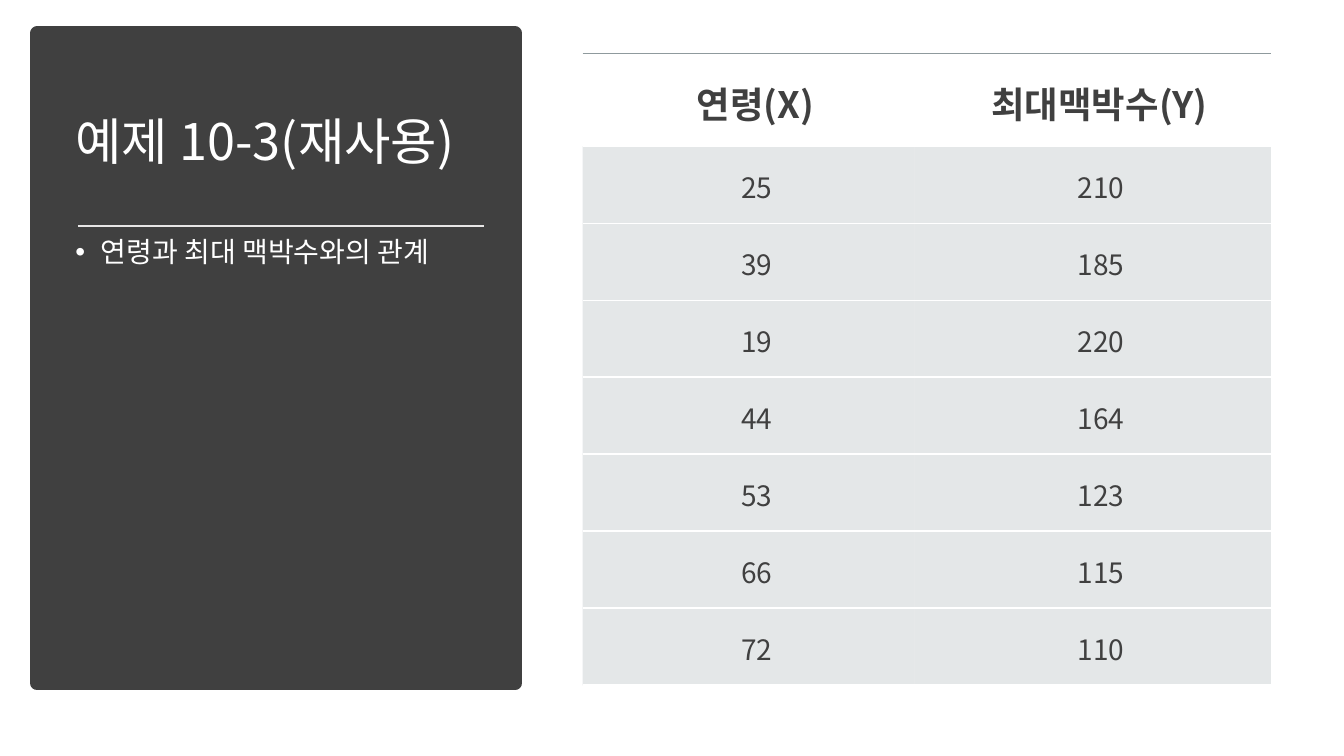
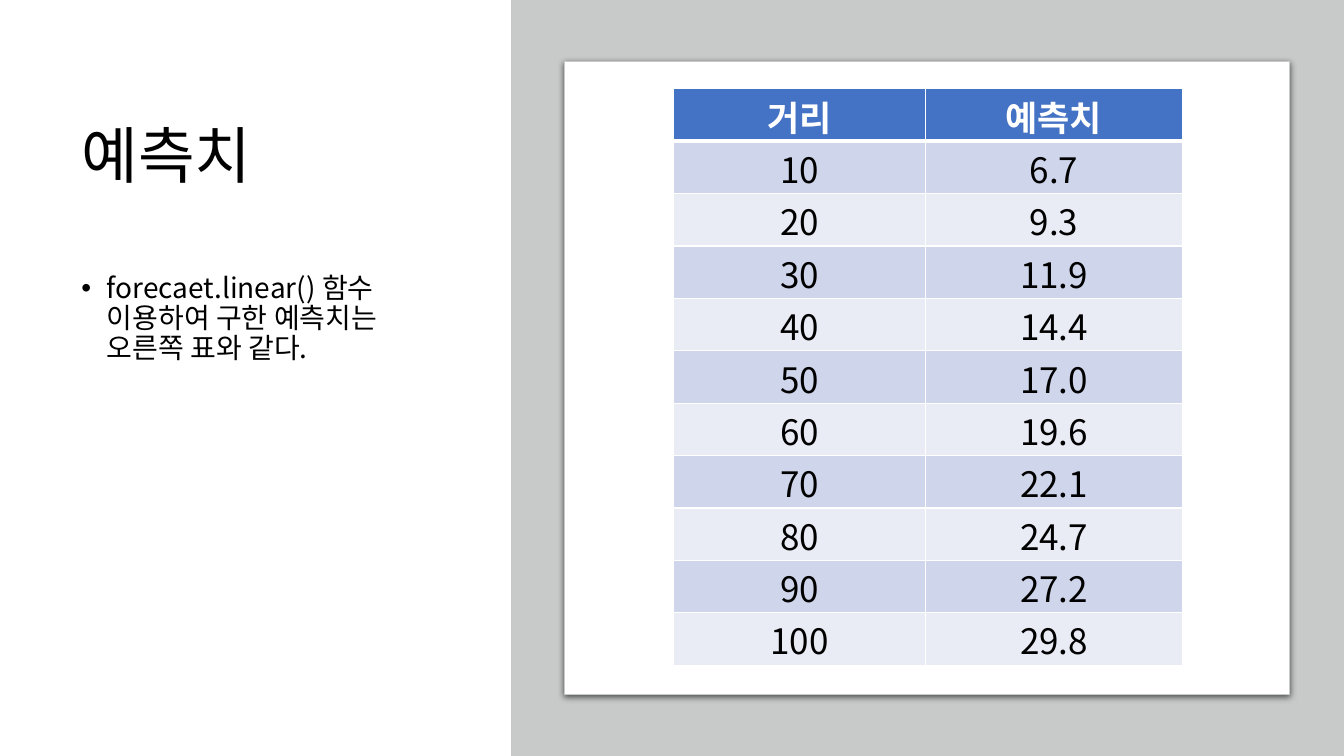
from pptx import Presentation
from pptx.dml.color import RGBColor
from pptx.enum.shapes import MSO_CONNECTOR as Connector, MSO_SHAPE as Preset
from pptx.enum.text import MSO_ANCHOR as Anchor, MSO_AUTO_SIZE as AutoSize, PP_ALIGN as Align
from pptx.oxml.ns import qn
from pptx.util import Cm, Pt
from lxml.etree import SubElement

FONT = "Noto Sans CJK KR"
WHITE, BLACK, CHARCOAL = "FFFFFF", "000000", "404040"
RULE, BAND = "E7E6E6", "C8CACA"
LINE_SPACING = 0.9

HEART_ROWS = [
    ("연령(X)", "최대맥박수(Y)"),
    ("25", "210"), ("39", "185"), ("19", "220"), ("44", "164"),
    ("53", "123"), ("66", "115"), ("72", "110"),
]
HEART_STYLE = {
    "columns": (8.36, 8.99), "heights": (2.34, 1.94),
    "sizes": (26, 20), "colors": (CHARCOAL, CHARCOAL),
    "margins": ((0.91, 0.56, 0.56, 0.56), (0.91, 0.48, 0.48, 0.48)),
    "header_fill": None, "body_fills": ("B4BCBE",), "alpha": 35,
    "grid": {"T": (WHITE, 1.5), "B": (WHITE, 1.5)},
    "header_edges": {"T": ("8F9A9D", 1.5, 60)},
}

FORECAST_ROWS = [
    ("거리", "예측치"),
    ("10", "6.7"), ("20", "9.3"), ("30", "11.9"), ("40", "14.4"), ("50", "17.0"),
    ("60", "19.6"), ("70", "22.1"), ("80", "24.7"), ("90", "27.2"), ("100", "29.8"),
]
FORECAST_STYLE = {
    "columns": (6.35, 6.48), "heights": (1.32, 1.32),
    "sizes": (25, 25), "colors": (WHITE, BLACK),
    "margins": ((0.04, 0.04, 0.04, 0),) * 2,
    "header_fill": "4472C4", "body_fills": ("CFD5EA", "E9EBF5"), "alpha": 100,
    "grid": {side: (WHITE, 1) for side in "LRTB"},
    "header_edges": {"B": (WHITE, 3)},
}


def rgb(color):
    return RGBColor.from_string(color)


def set_all(target, **values):
    for name, value in values.items():
        setattr(target, name, value)


def add_color(parent, color, alpha=100):
    node = SubElement(parent, qn("a:srgbClr"), val=color)
    if alpha < 100:
        SubElement(node, qn("a:alpha"), val=str(alpha * 1000))


def write(para, text, size, color, bold=False):
    span = para.add_run()
    span.text = text
    set_all(span.font, name=FONT, size=Pt(size), bold=bold)
    span.font.color.rgb = rgb(color)
    SubElement(span.font._element, qn("a:ea"), typeface=FONT)


def add_rectangle(page, box, fill, line=None, width=0):
    shape = page.shapes.add_shape(Preset.RECTANGLE, *map(Cm, box))
    shape.shadow.inherit = False
    shape.fill.solid()
    shape.fill.fore_color.rgb = rgb(fill)
    if line:
        shape.line.color.rgb = rgb(line)
        shape.line.width = Pt(width)
    else:
        shape.line.fill.background()
    return shape


def add_text_column(page, box, title, body, title_size, color, title_height, gap):
    """Title at the top of the box, one bullet in the rest."""
    left, top, width, height = box
    heading = page.shapes.title
    set_all(heading, left=Cm(left), top=Cm(top), width=Cm(width), height=Cm(title_height))
    set_all(heading.text_frame, vertical_anchor=Anchor.MIDDLE, word_wrap=True,
            auto_size=AutoSize.NONE)
    para = heading.text_frame.paragraphs[0]
    set_all(para, alignment=Align.LEFT, line_spacing=LINE_SPACING)
    write(para, title, title_size, color)

    offset = title_height + gap
    note = page.shapes.add_textbox(Cm(left), Cm(top + offset), Cm(width), Cm(height - offset))
    note.text_frame.word_wrap = True
    para = note.text_frame.paragraphs[0]
    props = para._p.get_or_add_pPr()
    props.set("marL", str(Cm(0.64)))
    props.set("indent", str(-Cm(0.64)))
    SubElement(props, qn("a:buFont"), typeface="Arial")
    SubElement(props, qn("a:buChar"), char="•")
    para.line_spacing = LINE_SPACING
    write(para, body, 20, color)


def set_borders(cell, edges):
    props = cell._tc.get_or_add_tcPr()
    for side in "LRTB":
        line = SubElement(props, qn("a:ln" + side))
        if side in edges:
            color, width, *alpha = edges[side]
            line.set("w", str(Pt(width)))
            add_color(SubElement(line, qn("a:solidFill")), color, *alpha)
        else:
            SubElement(line, qn("a:noFill"))


def fill_cell(cell, color, alpha):
    if color is None:
        cell.fill.background()
        return
    cell.fill.solid()
    cell.fill.fore_color.rgb = rgb(color)
    if alpha < 100:
        node = cell._tc.tcPr.find(qn("a:solidFill")).find(qn("a:srgbClr"))
        SubElement(node, qn("a:alpha"), val=str(alpha * 1000))


def add_data_table(page, left, top, rows, style):
    head_height, body_height = style["heights"]
    height = head_height + body_height * (len(rows) - 1)
    frame = page.shapes.add_table(len(rows), len(rows[0]), Cm(left), Cm(top),
                                  Cm(sum(style["columns"])), Cm(height))
    table = frame.table
    for column, width in zip(table.columns, style["columns"]):
        column.width = Cm(width)
    for r, values in enumerate(rows):
        part = min(r, 1)  # 0 header, 1 body
        table.rows[r].height = Cm(style["heights"][part])
        fills = style["body_fills"]
        fill = fills[(r - 1) % len(fills)] if r else style["header_fill"]
        edges = dict(style["grid"])
        if r == 0:
            edges.update(style["header_edges"])
        elif r == 1 and "B" in style["header_edges"]:
            edges["T"] = style["header_edges"]["B"]
        for c, value in enumerate(values):
            cell = table.cell(r, c)
            set_borders(cell, edges)
            fill_cell(cell, fill, style["alpha"])
            sides = ("margin_left", "margin_top", "margin_right", "margin_bottom")
            set_all(cell, vertical_anchor=Anchor.MIDDLE,
                    **dict(zip(sides, map(Cm, style["margins"][part]))))
            para = cell.text_frame.paragraphs[0]
            para.alignment = Align.CENTER
            write(para, value, style["sizes"][part], style["colors"][part], bold=r == 0)


def add_rule(page, left, right, y):
    rule = page.shapes.add_connector(Connector.STRAIGHT, Cm(left), Cm(y), Cm(right), Cm(y))
    rule.line.color.rgb = rgb(RULE)
    rule.line.width = Pt(1.75)
    SubElement(rule._element.spPr, qn("a:effectLst"))


def add_card(page, box):
    """White card with a soft shadow below it."""
    card = add_rectangle(page, box, WHITE, BAND, 0.75)
    effects = card._element.spPr.find(qn("a:effectLst"))
    shadow = SubElement(effects, qn("a:outerShdw"), blurRad=str(Pt(4.5)),
                        dist=str(Pt(1.5)), dir="5400000", algn="t", rotWithShape="0")
    add_color(shadow, BLACK, 63)


def build_example(page):
    # Dark panel, placed behind the title
    left, top, width, height = panel_box = (0.94, 0.84, 12.04, 16.38)
    panel = add_rectangle(page, panel_box, CHARCOAL, CHARCOAL, 10)
    page.shapes._spTree.insert(2, panel._element)
    add_rule(page, left + 1.02, left + width - 0.79, top + 4.85)
    add_text_column(page, (left + 0.71, top + 0.94, 10.62, 14.6), "예제 10-3(재사용)",
                    "연령과 최대 맥박수와의 관계", 36, WHITE, title_height=3.73, gap=0.38)
    add_data_table(page, 14.68, 1.35, HEART_ROWS, HEART_STYLE)


def build_forecast(page):
    add_text_column(page, (1.8, 1.75, 9.73, 15.55), "예측치",
                    "forecaet.linear() 함수 이용하여 구한 예측치는 오른쪽 표와 같다.",
                    44, BLACK, title_height=4.5, gap=0.53)
    # Grey band, card and table
    left = 12.88
    add_rectangle(page, (left, 0, 20.99, 19.05), BAND)
    add_card(page, (left + 1.34, 1.55, 18.29, 15.95))
    add_data_table(page, left + 4.09, 2.24, FORECAST_ROWS, FORECAST_STYLE)


def main():
    deck = Presentation()
    set_all(deck, slide_width=Cm(33.87), slide_height=Cm(19.05))
    for build in (build_example, build_forecast):
        build(deck.slides.add_slide(deck.slide_layouts[5]))
    deck.save("out.pptx")


if __name__ == "__main__":
    main()
